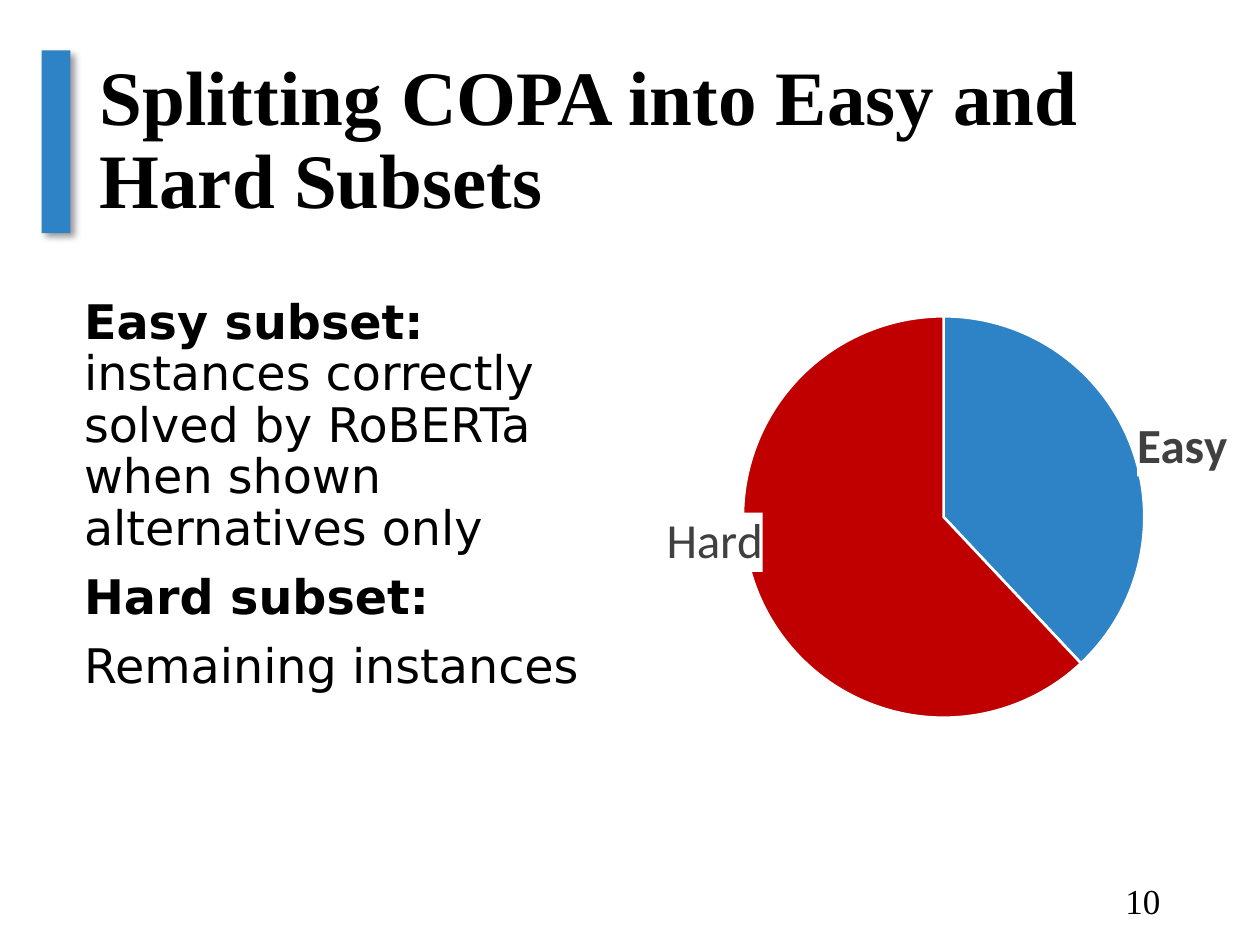
from lxml.etree import SubElement
from pptx import Presentation
from pptx.chart.data import CategoryChartData
from pptx.dml.color import RGBColor
from pptx.enum.chart import XL_CHART_TYPE, XL_LABEL_POSITION
from pptx.enum.shapes import MSO_SHAPE
from pptx.enum.text import MSO_ANCHOR, MSO_AUTO_SIZE, PP_ALIGN
from pptx.oxml import parse_xml
from pptx.oxml.ns import nsdecls, qn
from pptx.util import Pt

BLUE, RED, GREY, BLACK = "2D83C6", "C00000", "404040", "000000"


def color(value):
    return RGBColor.from_string(value)


def style(font, name, size, value=BLACK, bold=None):
    font.name, font.size, font.bold = name, Pt(size), bold
    font.color.rgb = color(value)


def place(part, left, top, width, height):
    part.left, part.top = Pt(left), Pt(top)
    part.width, part.height = Pt(width), Pt(height)


def add_text_frame(slide, left, top, width, height):
    frame = slide.shapes.add_textbox(Pt(left), Pt(top), Pt(width), Pt(height)).text_frame
    frame.word_wrap = True
    return frame


def add_heading(slide, left, top, width, height):
    # Accent bar with a soft shadow
    bar = slide.shapes.add_shape(MSO_SHAPE.RECTANGLE, Pt(left), Pt(top), Pt(16.5), Pt(height))
    bar.fill.solid()
    bar.fill.fore_color.rgb = color(BLUE)
    bar.line.fill.background()
    bar.shadow.inherit = False
    effects = bar._element.spPr.find(qn("a:effectLst"))
    shadow = SubElement(effects, qn("a:outerShdw"), blurRad=str(Pt(4)),
                        dist=str(Pt(3)), dir="2700000", algn="tl", rotWithShape="0")
    shade = SubElement(shadow, qn("a:srgbClr"), val=BLACK)
    SubElement(shade, qn("a:alpha"), val="40000")

    # Title
    title = slide.shapes.title
    place(title, left + 26, top, width - 26, height)
    frame = title.text_frame
    frame.text = "Splitting COPA into Easy and Hard Subsets"
    frame.auto_size = MSO_AUTO_SIZE.NONE
    frame.vertical_anchor = MSO_ANCHOR.MIDDLE
    heading = frame.paragraphs[0]
    heading.alignment, heading.line_spacing = PP_ALIGN.LEFT, 0.9
    style(heading.font, "Times New Roman", 44, bold=True)


def add_definitions(slide, left, top, width, height):
    frame = add_text_frame(slide, left, top, width, height)
    definitions = [
        [("Easy subset: ", True),
         ("instances correctly solved by RoBERTa when shown alternatives only", False)],
        [("Hard subset:", True)],
        [("Remaining instances", False)],
    ]
    for index, pieces in enumerate(definitions):
        paragraph = frame.add_paragraph() if index else frame.paragraphs[0]
        paragraph.line_spacing, paragraph.space_before = 0.9, Pt(10)
        style(paragraph.font, "DejaVu Sans", 27.2)
        for text, bold in pieces:
            run = paragraph.add_run()
            run.text, run.font.bold = text, bold


def manual_layout(**values):
    tags = "".join(f'<c:{tag} val="{value}"/>' for tag, value in values.items())
    return parse_xml(f'<c:layout {nsdecls("c")}><c:manualLayout>{tags}'
                     '</c:manualLayout></c:layout>')


def add_subset_pie(slide, left, top, width, height):
    shares = CategoryChartData()
    shares.categories = ["Easy subset", "Hard subset"]
    shares.add_series("Series 1", [38, 62])
    chart = slide.shapes.add_chart(XL_CHART_TYPE.PIE, Pt(left), Pt(top),
                                   Pt(width), Pt(height), shares).chart
    chart.has_legend = chart.has_title = False
    style(chart.font, "DejaVu Sans", 10)

    # Round plot area, centred in the box
    diameter = 231
    share_x, share_y = diameter / width, diameter / height
    plot_area = chart._chartSpace.chart.plotArea
    for automatic in plot_area.findall(qn("c:layout")):
        plot_area.remove(automatic)
    plot_area.insert(0, manual_layout(
        layoutTarget="inner", xMode="edge", yMode="edge",
        x=round((1 - share_x) / 2, 2), y=round((1 - share_y) / 2, 2),
        w=round(share_x, 2), h=round(share_y, 2)))

    # Slices, each with a white label box shifted from its outer end
    plot = chart.plots[0]
    plot.vary_by_categories = True
    slices = [("Easy", BLUE, True, 0, 0.08), ("Hard", RED, False, 0.02, -0.18)]
    for index, (name, fill, bold, shift_x, shift_y) in enumerate(slices):
        point = plot.series[0].points[index]
        point.format.fill.solid()
        point.format.fill.fore_color.rgb = color(fill)
        point.format.line.color.rgb = color("FFFFFF")
        point.format.line.width = Pt(1.5)
        label = point.data_label
        run = label.text_frame.paragraphs[0].add_run()
        run.text = name
        style(run.font, "Calibri", 28, GREY, bold)
        label.position = XL_LABEL_POSITION.OUTSIDE_END
        element = label._dLbl
        element.find(qn("c:idx")).addnext(manual_layout(x=shift_x, y=shift_y))
        element.find(qn("c:tx")).addnext(parse_xml(
            f'<c:spPr {nsdecls("c", "a")}><a:solidFill><a:srgbClr val="FFFFFF"/>'
            '</a:solidFill></c:spPr>'))


def add_page_number(slide, left, top, width, height):
    frame = add_text_frame(slide, left, top, width, height)
    frame.vertical_anchor = MSO_ANCHOR.MIDDLE
    number = frame.paragraphs[0]
    number.text, number.alignment = "10", PP_ALIGN.RIGHT
    style(number.font, "Times New Roman", 20)


def main():
    deck = Presentation()
    deck.slide_width, deck.slide_height = Pt(720), Pt(540)
    slide = deck.slides.add_slide(deck.slide_layouts[5])
    add_heading(slide, 23.75, 28.8, 646.5, 104.4)
    add_definitions(slide, 41, 167, 318, 257)
    add_subset_pie(slide, 360, 167, 358.5, 257)
    add_page_number(slide, 632, 500.4, 38.2, 28.8)
    deck.save("out.pptx")


if __name__ == "__main__":
    main()
